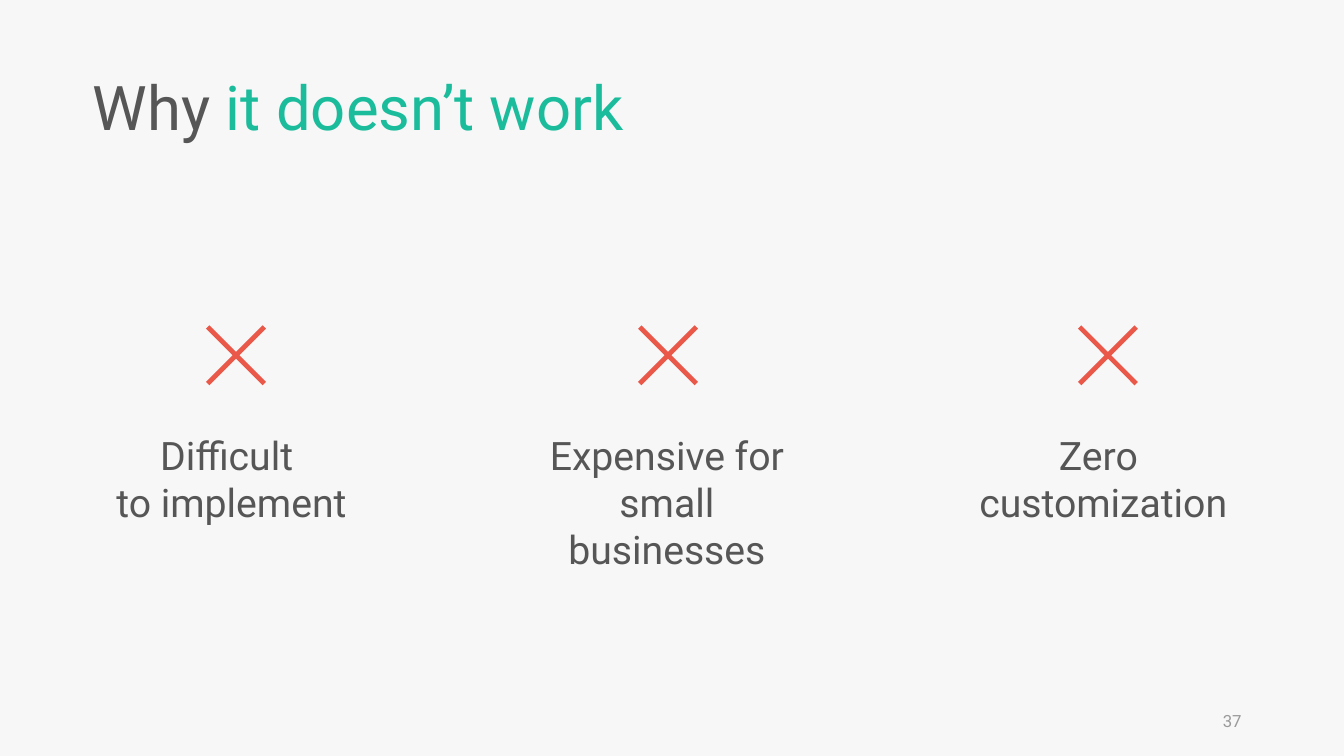
from pptx import Presentation
from pptx.dml.color import RGBColor
from pptx.enum.text import MSO_ANCHOR, PP_ALIGN
from pptx.util import Pt

FONT = "Roboto"
COLORS = {"background": "F7F7F7", "text": "565656", "accent": "1ABC9C",
          "cross": "E95849", "number": "9A9A9A"}
TOP, MIDDLE = MSO_ANCHOR.TOP, MSO_ANCHOR.MIDDLE
LEFT, CENTER, RIGHT = PP_ALIGN.LEFT, PP_ALIGN.CENTER, PP_ALIGN.RIGHT


def place_box(box, left, top, width, height, inset, anchor):
    box.left, box.top, box.width, box.height = map(Pt, (left, top, width, height))
    frame = box.text_frame
    frame.word_wrap = True
    frame.margin_left, frame.margin_right = Pt(inset), Pt(7.2)
    frame.margin_top = frame.margin_bottom = Pt(3.6)
    frame.vertical_anchor = anchor
    return frame.paragraphs[0]


def format_paragraph(para, size, color, alignment):
    para.alignment = alignment
    para.font.name = FONT
    para.font.size = Pt(size)
    para.font.color.rgb = RGBColor.from_string(COLORS[color])


deck = Presentation()
deck.slide_width, deck.slide_height = Pt(960), Pt(540)
page = deck.slides.add_slide(deck.slide_layouts[5])
page.background.fill.solid()
page.background.fill.fore_color.rgb = RGBColor.from_string(COLORS["background"])

# Title
para = place_box(page.shapes.title, 66.24, 51.84, 409.7, 103, 0, TOP)
format_paragraph(para, 44, "text", LEFT)
para.line_spacing = 0.9
para.space_before = Pt(0)
para.add_run().text = "Why "
span = para.add_run()
span.text = "it doesn’t work"
span.font.color.rgb = RGBColor.from_string(COLORS["accent"])

# One arm of the cross around its centre, turned by quarters into four
arm = [(21.4, -19), (19, -21.4), (0, -2.4)]
cross = []
for quarter in range(4):
    cross += arm
    arm = [(y, -x) for x, y in arm]

# Columns: text left edge, cross centre, reason
columns = [
    (66.24, 168.6, "Difficult \vto implement"),
    (377.3, 477.2, "Expensive for small businesses"),
    (689, 791.4, "Zero \vcustomization"),
]
CROSS_MIDDLE = 253.8
for left, center, reason in columns:
    box = page.shapes.add_textbox(0, 0, 0, 0)
    para = place_box(box, left, 304.6, 205.2, 75, 0, TOP)
    para.text = reason
    format_paragraph(para, 28, "text", CENTER)

    points = [(Pt(center + x), Pt(CROSS_MIDDLE + y)) for x, y in cross]
    builder = page.shapes.build_freeform(*points[0])
    builder.add_line_segments(points[1:], close=True)
    mark = builder.convert_to_shape()
    mark.shadow.inherit = False
    mark.fill.solid()
    mark.fill.fore_color.rgb = RGBColor.from_string(COLORS["cross"])
    mark.line.fill.background()

# Page number
box = page.shapes.add_textbox(0, 0, 0, 0)
para = place_box(box, 678, 500.5, 216, 28.8, 7.2, MIDDLE)
para.text = "37"
format_paragraph(para, 12, "number", RIGHT)

deck.save("out.pptx")
